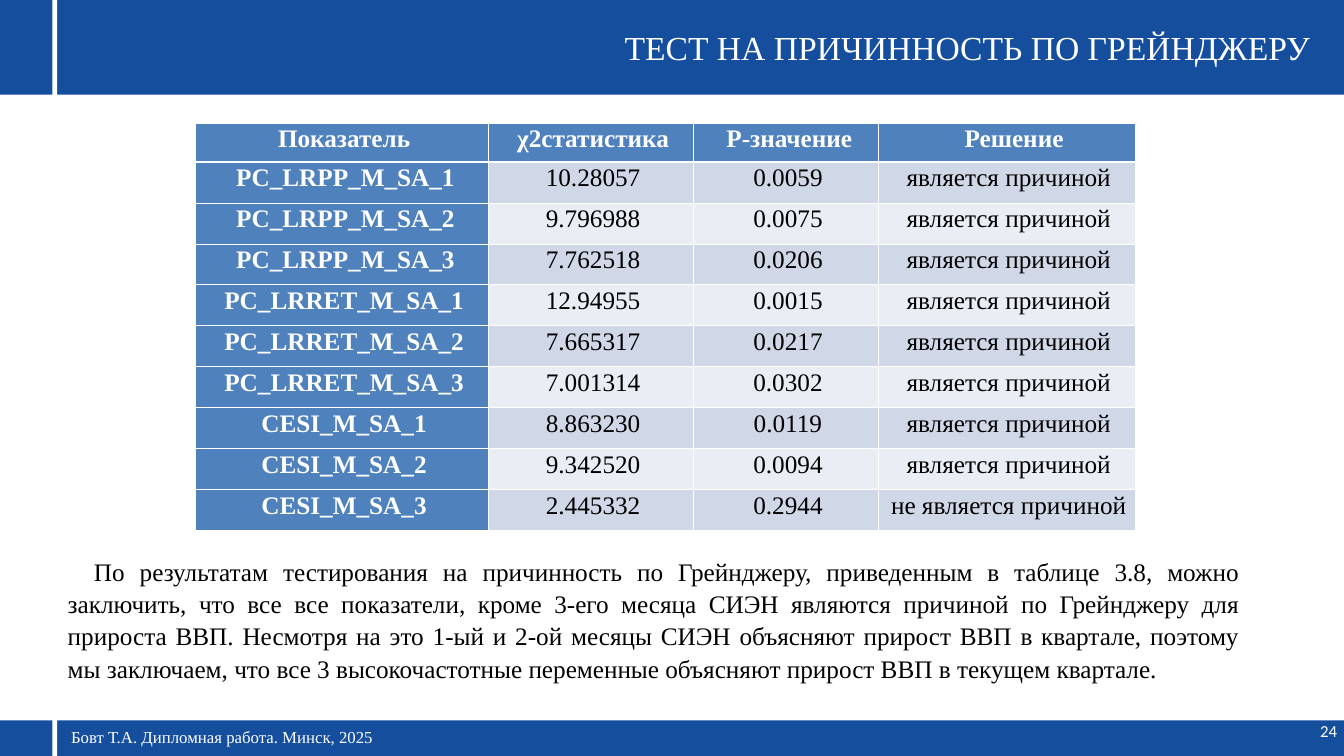
from lxml.etree import SubElement
from pptx import Presentation
from pptx.dml.color import RGBColor
from pptx.enum.shapes import MSO_SHAPE
from pptx.enum.text import MSO_ANCHOR, MSO_AUTO_SIZE, PP_ALIGN
from pptx.oxml.ns import qn
from pptx.util import Inches, Pt

BLUE, WHITE, BLACK = "144E9D", "FFFFFF", "000000"
HEADER, BANDS = "4F81BD", ("D0D8E8", "E9EDF4")
CAUSE = "является причиной"
ROWS = [
    ("Показатель", "χ2статистика", "P-значение", "Решение"),
    ("PC_LRPP_M_SA_1", "10.28057", "0.0059", CAUSE),
    ("PC_LRPP_M_SA_2", "9.796988", "0.0075", CAUSE),
    ("PC_LRPP_M_SA_3", "7.762518", "0.0206", CAUSE),
    ("PC_LRRET_M_SA_1", "12.94955", "0.0015", CAUSE),
    ("PC_LRRET_M_SA_2", "7.665317", "0.0217", CAUSE),
    ("PC_LRRET_M_SA_3", "7.001314", "0.0302", CAUSE),
    ("CESI_M_SA_1", "8.863230", "0.0119", CAUSE),
    ("CESI_M_SA_2", "9.342520", "0.0094", CAUSE),
    ("CESI_M_SA_3", "2.445332", "0.2944", "не " + CAUSE),
]
INDENTS = {(0, 2): 0.04, (0, 3): 0.16, (1, 0): 0.04, (2, 0): 0.04, (3, 0): 0.04}
CONCLUSION = (
    "По результатам тестирования на причинность по Грейнджеру, приведенным в таблице 3.8, "
    "можно заключить, что все все показатели, кроме 3-его месяца СИЭН являются причиной "
    "по Грейнджеру для прироста ВВП. Несмотря на это 1-ый и 2-ой месяцы СИЭН объясняют "
    "прирост ВВП в квартале, поэтому мы заключаем, что все 3 высокочастотные переменные "
    "объясняют прирост ВВП в текущем квартале."
)


def color(value):
    return RGBColor.from_string(value)


class SlideBuilder:
    font = "Times New Roman"

    def __init__(self, slide):
        self.slide = slide

    def fill_text(self, frame, text, size, fill, align=PP_ALIGN.LEFT, bold=False,
                  spacing=1.0, font=None, indents=(0, 0, 0)):
        paragraph = frame.paragraphs[0]
        paragraph.text = text
        paragraph.alignment = align
        paragraph.line_spacing = spacing
        paragraph.space_before = Pt(0)
        properties = paragraph._p.get_or_add_pPr()
        for name, length in zip(("marL", "marR", "indent"), indents):
            properties.set(name, str(Inches(length)))
        paragraph.font.name = font or self.font
        paragraph.font.size = Pt(size)
        paragraph.font.bold = bold
        paragraph.font.color.rgb = color(fill)

    def bar(self, left, top, width, height, fill):
        shape = self.slide.shapes.add_shape(
            MSO_SHAPE.RECTANGLE, Inches(left), Inches(top), Inches(width), Inches(height))
        shape.shadow.inherit = False
        shape.fill.solid()
        shape.fill.fore_color.rgb = color(fill)
        shape.line.fill.background()

    def set_frame(self, frame, margins):
        frame.word_wrap = True
        frame.auto_size = MSO_AUTO_SIZE.NONE
        frame.vertical_anchor = MSO_ANCHOR.TOP
        frame.margin_left = frame.margin_right = Inches(margins[0])
        frame.margin_top = frame.margin_bottom = Inches(margins[1])

    def title(self, left, top, width, height, text, size):
        title = self.slide.shapes.title
        title.left, title.top = Inches(left), Inches(top)
        title.width, title.height = Inches(width), Inches(height)
        self.set_frame(title.text_frame, (0, 0))
        self.fill_text(title.text_frame, text, size, WHITE, PP_ALIGN.RIGHT)
        title.element.getparent().append(title.element)

    def text(self, left, top, width, height, text, size, fill, margins=(0.1, 0.05), **style):
        box = self.slide.shapes.add_textbox(
            Inches(left), Inches(top), Inches(width), Inches(height))
        self.set_frame(box.text_frame, margins)
        self.fill_text(box.text_frame, text, size, fill, **style)

    def borders(self, cell, bottom):
        properties = cell._tc.get_or_add_tcPr()
        for name, width in (("lnL", 1), ("lnR", 1), ("lnT", 1), ("lnB", bottom)):
            line = SubElement(properties, qn("a:" + name), w=str(Pt(width)))
            SubElement(SubElement(line, qn("a:solidFill")), qn("a:srgbClr"), val=WHITE)

    def table(self, left, top, widths, heights, rows):
        table = self.slide.shapes.add_table(
            len(rows), len(widths), Inches(left), Inches(top),
            Inches(sum(widths)), Inches(sum(heights))).table
        for column, width in zip(table.columns, widths):
            column.width = Inches(width)
        for row, height in zip(table.rows, heights):
            row.height = Inches(height)
        for i, values in enumerate(rows):
            for j, value in enumerate(values):
                cell = table.cell(i, j)
                heading = i == 0 or j == 0
                cell.margin_left, cell.margin_right = Inches(0.08), Inches(0.02)
                cell.margin_top = cell.margin_bottom = 0
                self.borders(cell, 3 if i == 0 else 1)
                cell.fill.solid()
                cell.fill.fore_color.rgb = color(HEADER if heading else BANDS[(i - 1) % 2])
                self.fill_text(cell.text_frame, value, 27, WHITE if heading else BLACK,
                               PP_ALIGN.CENTER, heading, 1.07,
                               indents=(INDENTS.get((i, j), 0), 0, 0))


def main():
    deck = Presentation()
    deck.slide_width, deck.slide_height = Inches(20), Inches(11.25)
    page = SlideBuilder(deck.slides.add_slide(deck.slide_layouts[5]))
    page.bar(0, 0, 20, 1.41, BLUE)
    page.bar(0, 10.72, 20, 0.53, BLUE)
    page.bar(0.78, 0, 0.07, 11.25, WHITE)
    page.title(8.45, 0.4, 11.05, 0.61, "ТЕСТ НА ПРИЧИННОСТЬ ПО ГРЕЙНДЖЕРУ", 36)
    page.text(15.6, 10.72, 4.3, 0.3, "24", 18, WHITE, (0, 0),
              align=PP_ALIGN.RIGHT, spacing=Pt(21.6), font="Calibri")
    page.text(0.96, 10.76, 10.03, 0.39, "Бовт Т.А. Дипломная работа. Минск, 2025",
              18, WHITE, spacing=Pt(21.6))
    page.table(2.91, 1.83, (4.36, 3.05, 2.75, 3.82), [0.58] + [0.61] * 9, ROWS)
    page.text(0.58, 8.19, 18.36, 2.01, CONCLUSION, 27, BLACK,
              align=PP_ALIGN.JUSTIFY, spacing=1.07, indents=(0.33, 0.4, 0.39))
    deck.save("out.pptx")


if __name__ == "__main__":
    main()
